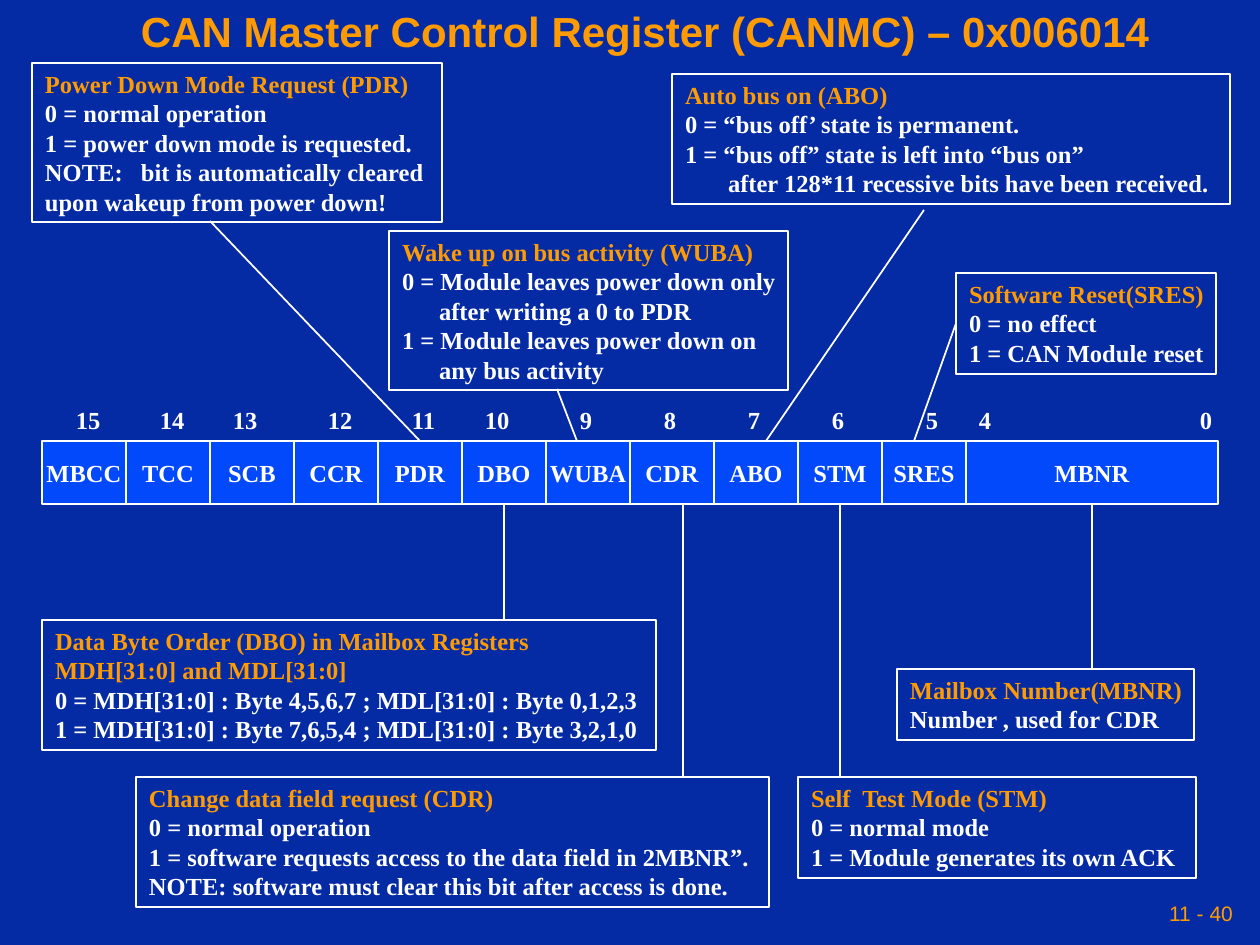
from lxml.etree import SubElement
from pptx import Presentation
from pptx.dml.color import RGBColor
from pptx.enum.shapes import MSO_CONNECTOR, MSO_SHAPE
from pptx.enum.text import MSO_ANCHOR, PP_ALIGN
from pptx.oxml.ns import qn
from pptx.util import Pt

EMU_PER_PX = 914400 / 126
NAVY = RGBColor(0x04, 0x2A, 0xA4)
BLUE = RGBColor(0x02, 0x49, 0xFC)
ORANGE = RGBColor(0xFE, 0x9B, 0x03)
WHITE = RGBColor(0xFF, 0xFF, 0xFF)

TITLE = "CAN Master Control Register (CANMC) – 0x006014"
PAGE_NUMBER = "11 - 40"

REGISTER_LEFT, REGISTER_TOP, BIT_WIDTH, REGISTER_HEIGHT = 42, 441, 84, 63
BIT_LABEL_TOP = 399
# name, width in cells, bit labels with their offset from the field's left edge
FIELDS = [
    ("MBCC", 1, [("15", 21)]),
    ("TCC", 1, [("14", 21)]),
    ("SCB", 1, [("13", 10)]),
    ("CCR", 1, [("12", 21)]),
    ("PDR", 1, [("11", 21)]),
    ("DBO", 1, [("10", 10)]),
    ("WUBA", 1, [("9", 21)]),
    ("CDR", 1, [("8", 21)]),
    ("ABO", 1, [("7", 21)]),
    ("STM", 1, [("6", 21)]),
    ("SRES", 1, [("5", 31)]),
    ("MBNR", 3, [("4", 0), ("0", 221)]),
]

NOTES = {
    "DBO": ((42, 620, 614, 130),
            ["Data Byte Order (DBO) in Mailbox Registers", "MDH[31:0] and MDL[31:0]"],
            ["0 = MDH[31:0] : Byte 4,5,6,7 ; MDL[31:0] : Byte 0,1,2,3",
             "1 = MDH[31:0] : Byte 7,6,5,4 ; MDL[31:0] : Byte 3,2,1,0"]),
    "WUBA": ((389, 231, 399, 159),
             ["Wake up on bus activity (WUBA)"],
             ["0 = Module leaves power down only",
              ("after writing a 0 to PDR", 37),
              "1 = Module leaves power down on",
              ("any bus activity", 37)]),
    "CDR": ((136, 777, 633, 130),
            ["Change data field request (CDR)"],
            ["0 = normal operation",
             "1 = software requests access to the data field in 2MBNR”.",
             "NOTE: software must clear this bit after access is done."]),
    "ABO": ((672, 74, 558, 130),
            ["Auto bus on (ABO)"],
            ["0 = “bus off’ state is permanent.",
             "1 = “bus off” state is left into “bus on”",
             ("after 128*11 recessive bits have been received.", 43)]),
    "STM": ((798, 777, 398, 101),
            ["Self  Test Mode (STM)"],
            ["0 = normal mode", "1 = Module generates its own ACK"]),
    "SRES": ((956, 273, 260, 101),
             ["Software Reset(SRES)"],
             ["0 = no effect", "1 = CAN Module reset"]),
    "MBNR": ((897, 669, 297, 71),
             ["Mailbox Number(MBNR)"],
             ["Number , used for CDR"]),
    "PDR": ((32, 63, 410, 159),
            ["Power Down Mode Request (PDR)"],
            ["0 = normal operation",
             "1 = power down mode is requested.",
             "NOTE:\tbit is automatically cleared",
             "upon wakeup from power down!"]),
}
NOTE_TAB = 96

# field, field end, note end, field side joined, note side joined
LEADERS = [
    ("ABO", (766, 441), (924, 210), None, None),
    ("DBO", (504, 504), (504, 620), 2, None),
    ("CDR", (683, 504), (683, 777), None, None),
    ("STM", (840, 504), (840, 777), 2, None),
    ("MBNR", (1092, 504), (1092, 669), 2, None),
    ("SRES", (914, 441), (956, 324), None, 1),
    ("PDR", (420, 441), (210, 221), 0, None),
    ("WUBA", (577, 441), (557, 389), None, None),
]


def px(*lengths):
    return [round(length * EMU_PER_PX) for length in lengths]


def write(holder, lines, size=14, font="Times New Roman", bold=True, color=WHITE,
          headings=0, align=PP_ALIGN.LEFT, anchor=MSO_ANCHOR.TOP, wrap=True, left=13, right=0):
    frame = holder.text_frame
    frame.word_wrap = wrap
    frame.vertical_anchor = anchor
    frame.margin_left, frame.margin_right, frame.margin_top, frame.margin_bottom = px(left, right, 6, 6)
    for index, line in enumerate(lines):
        text, indent = line if isinstance(line, tuple) else (line, 0)
        paragraph = frame.paragraphs[0] if index == 0 else frame.add_paragraph()
        properties = paragraph._p.get_or_add_pPr()
        if indent:
            properties.set("marL", str(px(indent)[0]))
        if "\t" in text:
            stops = SubElement(properties, qn("a:tabLst"))
            SubElement(stops, qn("a:tab"), pos=str(px(NOTE_TAB)[0]), algn="l")
        paragraph.alignment = align
        run = paragraph.add_run()
        run.text = text
        run.font.size, run.font.name, run.font.bold = Pt(size), font, bold
        run.font.color.rgb = ORANGE if index < headings else color


def add_box(slide, bounds, fill=None):
    box = slide.shapes.add_shape(MSO_SHAPE.RECTANGLE, *px(*bounds))
    box.shadow.inherit = False
    if fill is None:
        box.fill.background()
    else:
        box.fill.solid()
        box.fill.fore_color.rgb = fill
    box.line.color.rgb = WHITE
    box.line.width = Pt(1)
    return box


def add_leader(slide, start, end, field, note, field_side, note_side):
    leader = slide.shapes.add_connector(MSO_CONNECTOR.STRAIGHT, *px(*start, *end))
    leader.line.color.rgb = WHITE
    leader.line.width = Pt(1)
    SubElement(leader._element.spPr, qn("a:effectLst"))
    if field_side is not None:
        leader.begin_connect(field, field_side)
    if note_side is not None:
        leader.end_connect(note, note_side)


def main():
    deck = Presentation()
    deck.slide_width, deck.slide_height = px(1260, 945)
    slide = deck.slides.add_slide(deck.slide_layouts[6])
    slide.background.fill.solid()
    slide.background.fill.fore_color.rgb = NAVY

    write(slide.shapes.add_textbox(*px(128, 0, 1045, 63)), [TITLE],
          size=24, font="Arial", color=ORANGE)
    write(slide.shapes.add_textbox(*px(861, 892, 378, 42)), [PAGE_NUMBER],
          size=12, font="Arial", bold=False, color=ORANGE,
          align=PP_ALIGN.RIGHT, anchor=MSO_ANCHOR.MIDDLE, right=6)

    fields = {}
    left = REGISTER_LEFT
    for name, cells, bits in FIELDS:
        width = cells * BIT_WIDTH
        fields[name] = add_box(slide, (left, REGISTER_TOP, width, REGISTER_HEIGHT), BLUE)
        write(fields[name], [name], align=PP_ALIGN.CENTER, anchor=MSO_ANCHOR.MIDDLE,
              wrap=False, right=13)
        for bit, offset in bits:
            write(slide.shapes.add_textbox(*px(left + offset, BIT_LABEL_TOP, 49, 42)), [bit])
        left += width

    notes = {}
    for name, (bounds, headings, details) in NOTES.items():
        notes[name] = add_box(slide, bounds)
        write(notes[name], headings + details, headings=len(headings))

    for name, start, end, field_side, note_side in LEADERS:
        add_leader(slide, start, end, fields[name], notes[name], field_side, note_side)

    deck.save("out.pptx")


if __name__ == "__main__":
    main()
